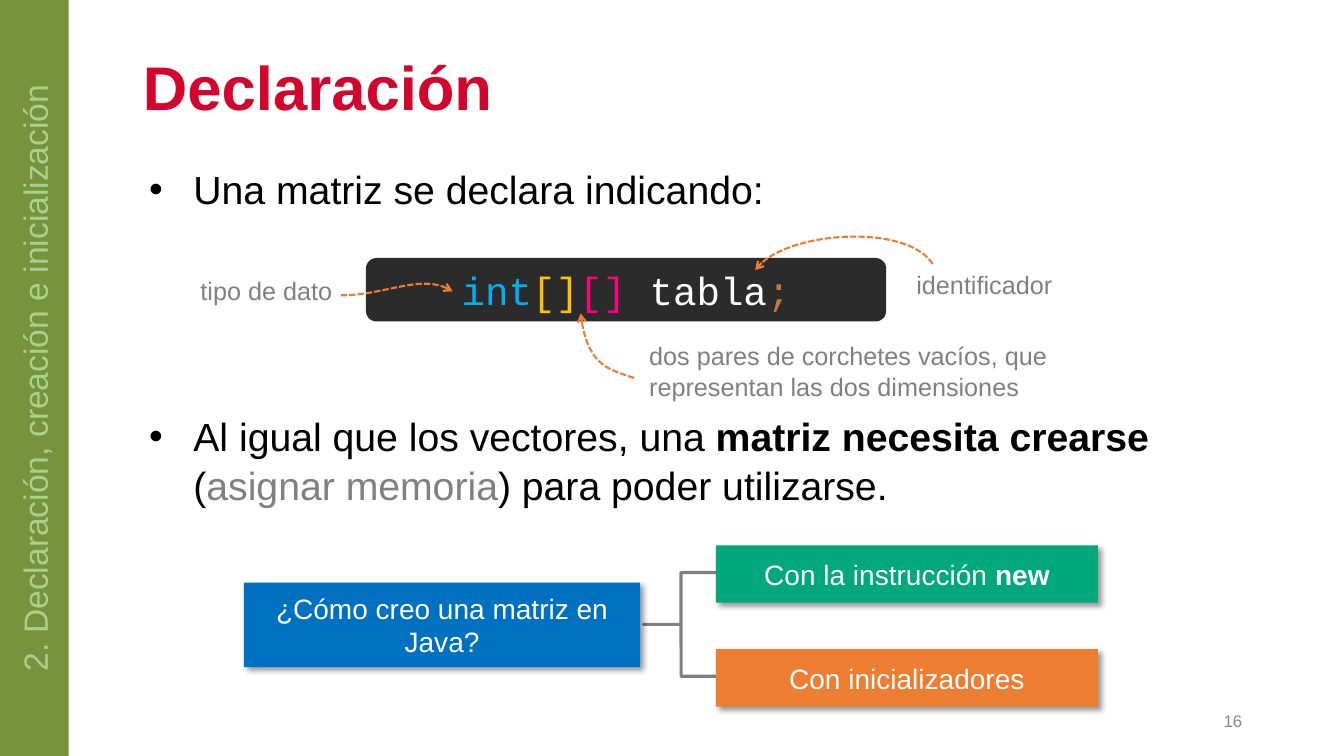
from lxml.etree import SubElement as Sub
from pptx import Presentation as Deck
from pptx.dml.color import RGBColor as Color
from pptx.enum.dml import MSO_LINE as Dash
from pptx.enum.shapes import MSO_SHAPE as Kind
from pptx.enum.text import MSO_ANCHOR as Anchor, PP_ALIGN as Align
from pptx.oxml.ns import qn
from pptx.util import Inches, Pt

GRAY, WHITE, BLACK, ORANGE = "808080", "FFFFFF", "000000", "ED7D31"


def tint(code):
    """Turn a hex string into a colour."""
    return Color.from_string(code)


def write(frame, *runs, size=18, color=GRAY, font="Arial", bold=False,
          align=Align.LEFT, anchor=Anchor.TOP, more=False, space=None,
          lead=None, bullet=False):
    """Write one paragraph; a run is text or (text, format)."""
    frame.word_wrap = True
    frame.vertical_anchor = anchor
    para = frame.add_paragraph() if more else frame.paragraphs[0]
    para.alignment = align
    if bullet:
        props = para._p.get_or_add_pPr()
        props.set("marL", str(Inches(0.5)))
        props.set("indent", str(Inches(-0.44)))
        Sub(props, qn("a:buFont")).set("typeface", "Arial")
        Sub(props, qn("a:buChar")).set("char", "•")
    if space:
        para.space_before = Pt(space)
    if lead:
        para.line_spacing = lead
    for item in runs:
        text, form = (item, {}) if isinstance(item, str) else item
        run = para.add_run()
        run.text = text
        run.font.name = font
        run.font.size = Pt(size)
        run.font.bold = form.get("bold", bold)
        run.font.color.rgb = tint(form.get("color", color))


class Page:
    """Hold the style and the current slide."""

    def __init__(self, deck):
        """Add a blank slide."""
        self.slide = deck.slides.add_slide(deck.slide_layouts[6])
        self.shapes = self.slide.shapes

    def text(self, box, *runs, **form):
        """Add a text box and return its frame."""
        frame = self.shapes.add_textbox(*map(Inches, box)).text_frame
        write(frame, *runs, **form)
        return frame

    def block(self, kind, box, fill, *runs, shade=False, **form):
        """Add a filled shape with centred text."""
        shape = self.shapes.add_shape(kind, *map(Inches, box))
        shape.shadow.inherit = False
        shape.fill.solid()
        shape.fill.fore_color.rgb = tint(fill)
        shape.line.fill.background()
        write(shape.text_frame, *runs, align=Align.CENTER,
              anchor=Anchor.MIDDLE, **form)
        if shade:
            self.shade(shape)
        return shape

    def shade(self, shape):
        """Give a shape a soft shadow."""
        effects = shape._element.spPr.find(qn("a:effectLst"))
        outer = Sub(effects, qn("a:outerShdw"), blurRad=str(Pt(4)),
                    dist=str(Pt(3)), dir="2700000", algn="tl", rotWithShape="0")
        black = Sub(outer, qn("a:srgbClr"), val=BLACK)
        Sub(black, qn("a:alpha"), val="40000")

    def brace(self, box):
        """Add a square left brace."""
        shape = self.shapes.add_shape(Kind.LEFT_BRACE, *map(Inches, box))
        shape.shadow.inherit = False
        shape.adjustments[0] = 0
        shape.fill.background()
        shape.line.color.rgb = tint(GRAY)
        shape.line.width = Pt(2.25)

    def curve(self, start, *points):
        """Add a dashed cubic arrow from start to the last point."""
        pen = self.shapes.build_freeform(*map(Inches, start))
        pen.add_line_segments([tuple(map(Inches, p)) for p in points], close=False)
        shape = pen.convert_to_shape()
        shape.shadow.inherit = False
        shape.fill.background()
        shape.line.color.rgb = tint(ORANGE)
        shape.line.width = Pt(1.5)
        shape.line.dash_style = Dash.SQUARE_DOT
        Sub(shape.line._get_or_add_ln(), qn("a:tailEnd"), type="arrow")
        track = next(shape._element.iter(qn("a:path")))
        bend = Sub(track, qn("a:cubicBezTo"))
        for step in track.findall(qn("a:lnTo")):
            bend.append(step[0])
            track.remove(step)


def main():
    """Build the slide."""
    deck = Deck()
    deck.slide_width, deck.slide_height = Inches(13.33), Inches(7.5)
    page = Page(deck)

    page.text((1.32, 0.47, 11.1, 0.86), "Declaración", size=44, color="D3052C",
              bold=True, anchor=Anchor.MIDDLE, lead=0.9)
    page.text((9.42, 6.95, 3, 0.4), "16", size=12, color="888888",
              align=Align.RIGHT, anchor=Anchor.MIDDLE)

    style = dict(size=28, color=BLACK, bullet=True, lead=1.05)
    body = page.text((1.32, 1.57, 11.1, 5.23),
                     "Una matriz se declara indicando:", **style)
    write(body, "Al igual que los vectores, una ",
          ("matriz necesita crearse", {"bold": True}), " (",
          ("asignar memoria", {"color": GRAY}), ") para poder utilizarse.",
          more=True, space=141, **style)

    side = page.block(Kind.RECTANGLE, (0, 0, 0.68, 7.5), "77933C",
                      "2. Declaración, creación e inicialización",
                      size=24, color="A9D18E")
    side.text_frame._txBody.bodyPr.set("vert", "vert270")

    code = [("int", "00B0F0"), ("[]", "FFC000"), ("[] ", "FF0080"),
            ("tabla", WHITE), (";", "CC7832")]
    page.block(Kind.ROUNDED_RECTANGLE, (3.63, 2.56, 5.16, 0.63), "2B2B2B",
               *[(word, {"color": hue}) for word, hue in code],
               size=28, font="Courier New")

    notes = [
        ((1.89, 2.68, 1.87, 0.4), "tipo de dato"),
        ((6.34, 3.33, 4.62, 0.71),
         "dos pares de corchetes vacíos, que representan las dos dimensiones"),
        ((8.99, 2.62, 2.45, 0.4), "identificador"),
    ]
    for box, note in notes:
        page.text(box, note)

    page.curve((3.38, 2.93), (3.8, 2.93), (4.2, 2.7), (4.49, 2.89))
    page.curve((9.25, 2.62), (9.01, 2.23), (7.76, 2.29), (7.49, 2.68))
    page.curve((6.29, 3.75), (6.06, 3.67), (5.82, 3.64), (5.76, 3.11))

    page.brace((6.38, 5.68, 0.75, 1.03))
    cards = [
        ((7.1, 5.41, 3.79, 0.57), "00A87C",
         ["Con la instrucción ", ("new", {"bold": True})]),
        ((7.1, 6.44, 3.79, 0.57), ORANGE, ["Con inicializadores"]),
        ((2.42, 5.78, 3.93, 0.84), "0070C0", ["¿Cómo creo una matriz en Java?"]),
    ]
    for box, fill, runs in cards:
        page.block(Kind.RECTANGLE, box, fill, *runs, shade=True, size=20, color=WHITE)

    deck.save("out.pptx")


if __name__ == "__main__":
    main()
